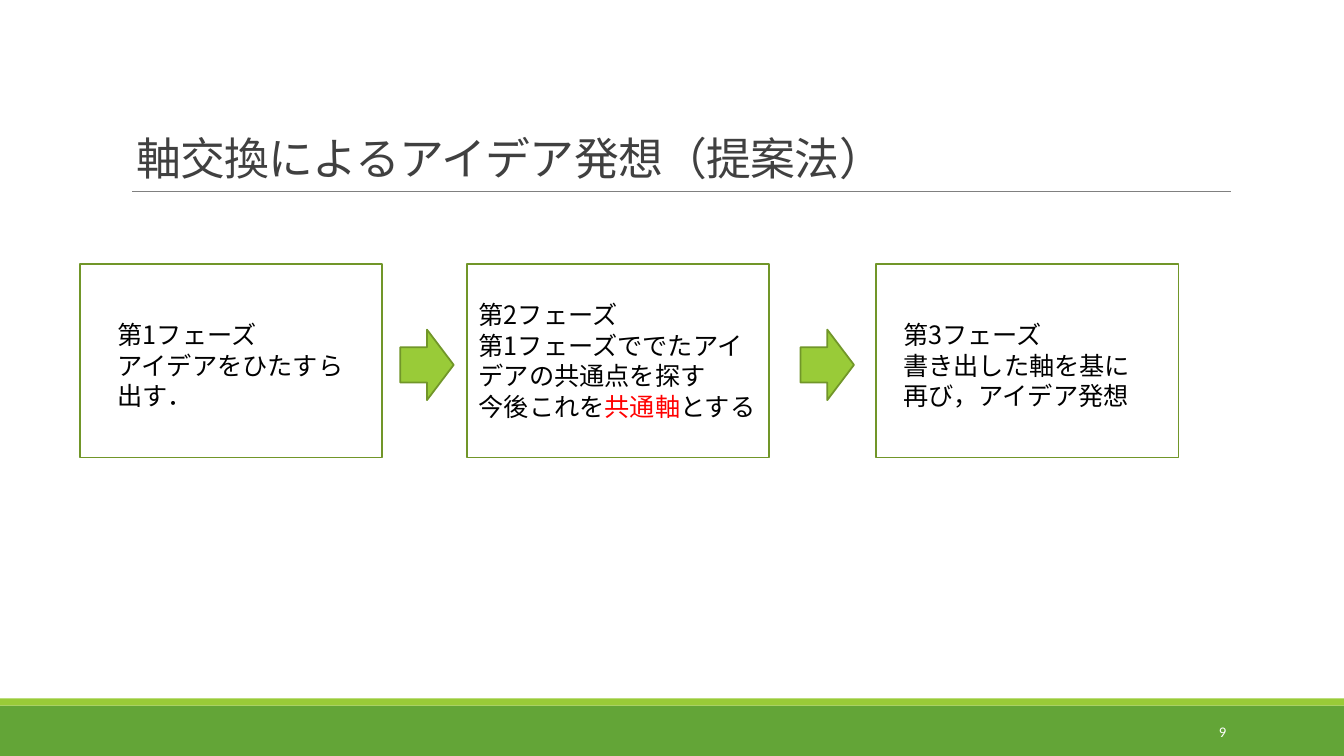
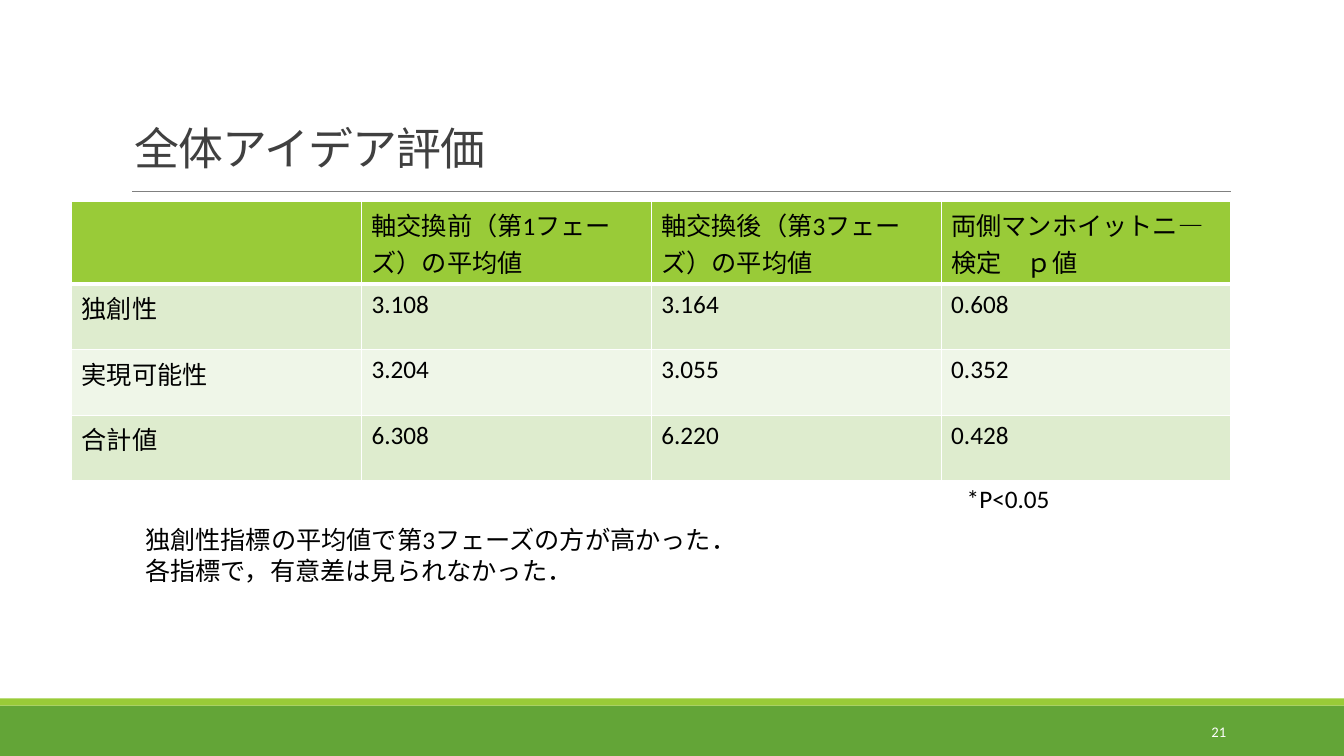
from lxml.etree import SubElement
from pptx import Presentation
from pptx.dml.color import RGBColor
from pptx.enum.shapes import MSO_CONNECTOR, MSO_SHAPE
from pptx.enum.text import MSO_ANCHOR, MSO_AUTO_SIZE, PP_ALIGN
from pptx.oxml.ns import qn
from pptx.util import Inches, Pt

COLORS = {
    "band": "63A537", "accent": "99CB38", "outline": "719629", "rule": "808080",
    "title": "404040", "text": "000000", "highlight": "FF0000", "white": "FFFFFF",
    "row_dark": "DEECCE", "row_light": "EFF6E8",
}
LATIN, JAPANESE = "Calibri", "Noto Sans CJK JP"


def color(name):
    return RGBColor.from_string(COLORS[name])


class Deck:
    """Holds the shared style and the slide being built."""

    def __init__(self):
        self.presentation = Presentation()
        self.presentation.slide_width = Inches(13.33)
        self.presentation.slide_height = Inches(7.5)
        self.slide = None

    def new_slide(self, title, title_box, number, title_font):
        layout = self.presentation.slide_layouts[5]
        self.slide = self.presentation.slides.add_slide(layout)
        # Bands and rule
        self.shape(MSO_SHAPE.RECTANGLE, (0, 7, 13.33, 0.5), fill="band")
        self.shape(MSO_SHAPE.RECTANGLE, (0, 6.93, 13.33, 0.07), fill="accent")
        self.line((1.31, 1.9), (12.21, 1.9))
        # Title
        placeholder = self.slide.shapes.title
        placeholder.left, placeholder.top, placeholder.width, placeholder.height = map(Inches, title_box)
        frame = placeholder.text_frame
        frame.word_wrap = True
        frame.auto_size = MSO_AUTO_SIZE.NONE
        frame.vertical_anchor = MSO_ANCHOR.BOTTOM
        paragraph = frame.paragraphs[0]
        paragraph.alignment = PP_ALIGN.LEFT
        paragraph.line_spacing = 0.85
        self.run(paragraph, title, 32, "title", title_font, spacing=-50)
        # Slide number
        self.text((10.83, 7.06, 1.43, 0.4), [[(number, "white")]], size=10.5,
                  align=PP_ALIGN.RIGHT, anchor=MSO_ANCHOR.MIDDLE, line_spacing=1.0)

    def run(self, paragraph, text, size=18, name="text", latin=LATIN, spacing=None):
        run = paragraph.add_run()
        run.text = text
        font = run.font
        font.size, font.name, font.bold = Pt(size), latin, False
        font.color.rgb = color(name)
        properties = run._r.get_or_add_rPr()
        SubElement(properties, qn("a:ea")).set("typeface", JAPANESE)
        if spacing is not None:
            properties.set("spc", str(spacing))

    def text(self, box, paragraphs, size=18, latin=LATIN, align=PP_ALIGN.LEFT,
             anchor=MSO_ANCHOR.TOP, wrap=True, line_spacing=Pt(21.8)):
        frame = self.slide.shapes.add_textbox(*map(Inches, box)).text_frame
        frame.word_wrap = wrap
        frame.vertical_anchor = anchor
        for index, runs in enumerate(paragraphs):
            paragraph = frame.add_paragraph() if index else frame.paragraphs[0]
            paragraph.alignment = align
            paragraph.line_spacing = line_spacing
            for text, name in runs:
                self.run(paragraph, text, size, name, latin)

    def shape(self, kind, box, fill=None, line=None):
        shape = self.slide.shapes.add_shape(kind, *map(Inches, box))
        shape.shadow.inherit = False
        if fill:
            shape.fill.solid()
            shape.fill.fore_color.rgb = color(fill)
        else:
            shape.fill.background()
        if line:
            shape.line.color.rgb = color(line)
            shape.line.width = Pt(1.25)
        else:
            shape.line.fill.background()

    def line(self, start, end):
        connector = self.slide.shapes.add_connector(
            MSO_CONNECTOR.STRAIGHT, *map(Inches, start + end))
        connector.line.color.rgb = color("rule")
        connector.line.width = Pt(0.5)
        SubElement(connector._element.spPr, qn("a:effectLst"))

    def table(self, left, top, width, header_height, row_height, rows):
        height = header_height + row_height * (len(rows) - 1)
        box = map(Inches, (left, top, width, height))
        table = self.slide.shapes.add_table(len(rows), len(rows[0]), *box).table
        for row_index, row in enumerate(rows):
            header = row_index == 0
            table.rows[row_index].height = Inches(header_height if header else row_height)
            fill = "accent" if header else ("row_light", "row_dark")[row_index % 2]
            for column_index, text in enumerate(row):
                cell = table.cell(row_index, column_index)
                if text:
                    self.run(cell.text_frame.paragraphs[0], text)
                self.borders(cell, header, below_header=row_index == 1)
                cell.fill.solid()
                cell.fill.fore_color.rgb = color(fill)

    def borders(self, cell, header, below_header):
        properties = cell._tc.get_or_add_tcPr()
        thick_side = "B" if header else "T" if below_header else None
        for side in "LRTB":
            border = SubElement(properties, qn(f"a:ln{side}"))
            border.set("w", str(Pt(3 if side == thick_side else 1)))
            fill = SubElement(border, qn("a:solidFill"))
            SubElement(fill, qn("a:srgbClr")).set("val", COLORS["white"])


def build_phases(deck):
    deck.new_slide("軸交換によるアイデア発想（提案法）", (1.25, 0.91, 7.76, 0.97), "9", JAPANESE)
    # Phases: frame left, text box, paragraphs
    phases = [
        (0.79, (1.07, 3.12, 2.53, 1.01),
         [[("第1フェーズ", "text")], [("アイデアをひたすら出す．", "text")]]),
        (4.63, (4.65, 2.92, 3.06, 1.31),
         [[("第2フェーズ", "text")],
          [("第1フェーズででたアイデアの共通点を探す", "text")],
          [("今後これを", "text"), ("共通軸", "highlight"), ("とする", "text")]]),
        (8.69, (8.86, 3.12, 2.65, 1.31),
         [[("第3フェーズ", "text")], [("書き出した軸を基に再び，アイデア発想", "text")]]),
    ]
    for left, text_box, paragraphs in phases:
        deck.shape(MSO_SHAPE.RECTANGLE, (left, 2.62, 3, 1.92), line="outline")
        deck.text(text_box, paragraphs, latin=JAPANESE)
    # Arrows between phases
    for left in (3.97, 7.94):
        deck.shape(MSO_SHAPE.RIGHT_ARROW, (left, 3.27, 0.53, 0.7), "accent", "outline")


def build_evaluation(deck):
    deck.new_slide("全体アイデア評価", (1.23, 1.07, 4.46, 0.71), "21", LATIN)
    # Scores
    deck.table(0.71, 2, 11.5, header_height=0.82, row_height=0.65, rows=[
        ("", "軸交換前（第1フェーズ）の平均値", "軸交換後（第3フェーズ）の平均値",
         "両側マンホイットニ―検定　ｐ値"),
        ("独創性", "3.108", "3.164", "0.608"),
        ("実現可能性", "3.204", "3.055", "0.352"),
        ("合計値", "6.308", "6.220", "0.428"),
    ])
    # Findings and significance level
    deck.text((1.34, 5.15, 6.15, 0.71),
              [[("独創性指標の平均値で第3フェーズの方が高かった．", "text")],
               [("各指標で，有意差は見られなかった．", "text")]], wrap=False)
    deck.text((9.49, 4.74, 1.86, 0.4), [[("*P<0.05", "text")]])


def main():
    deck = Deck()
    build_phases(deck)
    build_evaluation(deck)
    deck.presentation.save("out.pptx")


if __name__ == "__main__":
    main()
